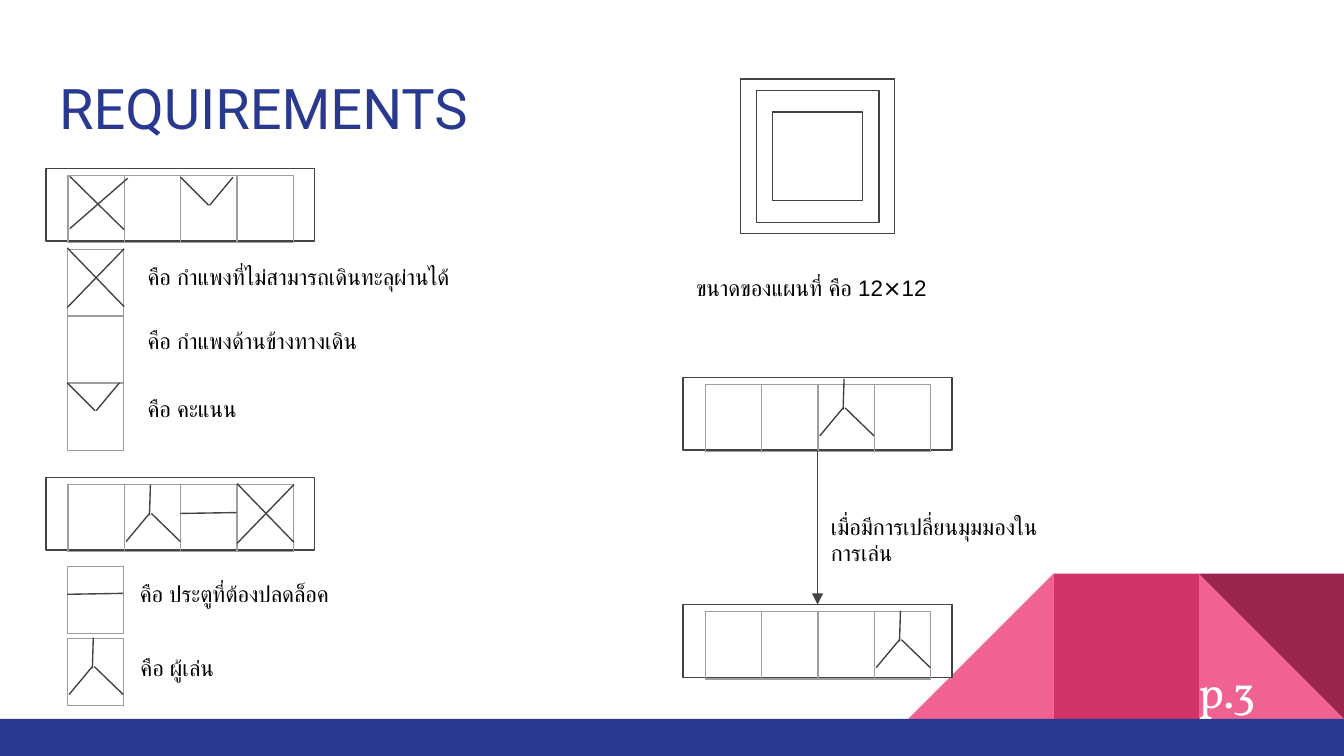
from lxml.etree import SubElement
from pptx import Presentation
from pptx.dml.color import RGBColor
from pptx.enum.shapes import MSO_CONNECTOR as Connector, MSO_SHAPE as Preset
from pptx.oxml.ns import qn
from pptx.util import Pt

COLORS = {
    "navy": "2A3990", "pink": "F06292", "rose": "D23369", "wine": "9C254D",
    "ink": "434343", "grid": "9E9E9E", "white": "FFFFFF", "black": "000000",
}
CELL_W = 30.2
STRIP_W, STRIP_H = 144, 39
STRIP_ROW, LEGEND_ROW = 19.4, 30.5
MARKS = {
    "wall": [(0, -0.5, 30.5, 31), (30.5, 0, 0, 31.5)],
    "inner wall": [(1, -0.5, 30, 28), (32, 0.5, 1, 27.5)],
    "score": [(0, 0, 15, 15), (28, 0, 15.5, 15)],
    "door": [(0, 15.5, 30, 15)],
    "player": [(14.5, 15.5, 30, 30.5), (13.5, 15.5, 1, 30.5), (13.5, 16.5, 14, 0)],
}


def rgb(name):
    """Return the named colour."""
    return RGBColor.from_string(COLORS[name])


def add_text(slide, text, x, y, w, h, size=12, font="Arial", color="black"):
    """Place a text box with one format."""
    frame = slide.shapes.add_textbox(Pt(x), Pt(y), Pt(w), Pt(h)).text_frame
    frame.word_wrap = True
    frame.margin_left = frame.margin_right = Pt(7.2)
    frame.margin_top = frame.margin_bottom = Pt(7.2)
    run = frame.paragraphs[0].add_run()
    run.text = text
    run.font.size = Pt(size)
    run.font.name = font
    run.font.color.rgb = rgb(color)
    SubElement(run.font._element, qn("a:cs"), typeface=font)


def add_block(slide, x, y, w, h, fill="white", outline="ink", preset=Preset.RECTANGLE, turn=0):
    """Place a filled preset shape, outlined when a line colour is given."""
    block = slide.shapes.add_shape(preset, Pt(x), Pt(y), Pt(w), Pt(h))
    block.shadow.inherit = False
    block.rotation = turn
    block.fill.solid()
    block.fill.fore_color.rgb = rgb(fill)
    if outline:
        block.line.color.rgb = rgb(outline)
        block.line.width = Pt(0.75)
    else:
        block.line.fill.background()
    return block


def add_stroke(slide, x1, y1, x2, y2):
    """Draw a thin straight line."""
    stroke = slide.shapes.add_connector(Connector.STRAIGHT, Pt(x1), Pt(y1), Pt(x2), Pt(y2))
    stroke.line.color.rgb = rgb("ink")
    stroke.line.width = Pt(0.75)
    SubElement(stroke.element.spPr, qn("a:effectLst"))
    return stroke


def add_mark(slide, kind, x, y):
    """Draw a map symbol from the top left of its cell."""
    for x1, y1, x2, y2 in MARKS[kind]:
        add_stroke(slide, x + x1, y + y1, x + x2, y + y2)


def add_cells(slide, x, y, count, height):
    """Place a row of empty bordered cells."""
    cells = slide.shapes.add_table(
        1, count, Pt(x), Pt(y), Pt(CELL_W * count), Pt(height)).table
    cells.first_row = cells.horz_banding = False
    for column in cells.columns:
        column.width = Pt(CELL_W)
    for cell in cells.iter_cells():
        cell.margin_left = cell.margin_right = Pt(7.2)
        cell.margin_top = cell.margin_bottom = Pt(7.2)
        properties = cell._tc.get_or_add_tcPr()
        for side in ("lnL", "lnR", "lnT", "lnB"):
            border = SubElement(properties, qn(f"a:{side}"), w=str(Pt(0.75)))
            paint = SubElement(border, qn("a:solidFill"))
            SubElement(paint, qn("a:srgbClr"), val=COLORS["grid"])
        cell.fill.background()


def add_strip(slide, x, y, marks, lift=0):
    """Place a framed four-cell view with marks keyed by cell number."""
    frame = add_block(slide, x, y, STRIP_W, STRIP_H)
    cells_x, cells_y = x + 11.8, y + 3.8
    add_cells(slide, cells_x, cells_y, 4, STRIP_ROW)
    for index, kind in marks.items():
        add_mark(slide, kind, cells_x + index * CELL_W, cells_y - lift)
    return frame


def add_legend(slide, x, y, kind, meaning, gap, drop, width):
    """Place one cell with its mark and its meaning beside it."""
    add_cells(slide, x, y, 1, LEGEND_ROW)
    if kind:
        add_mark(slide, kind, x, y - 0.4)
    add_text(slide, meaning, x + gap, y + drop, width, 30)


def add_map(slide, x, y):
    """Place the nested squares of the map and its size."""
    for dx, dy, w, h in [(0, 0, 82.6, 82.8), (8.6, 6, 65.5, 70.8), (17.2, 17.6, 48.2, 47.4)]:
        add_block(slide, x + dx, y + dy, w, h)
    add_text(slide, "ขนาดของแผนที่ คือ 12⨯12", x - 31, y + 97.4, 161.3, 30)


def add_view_change(slide, x, y):
    """Place the views before and after a turn, joined by an arrow."""
    before = add_strip(slide, x, y, {2: "player"}, lift=3)
    after = add_strip(slide, x, y + 121.7, {3: "player"}, lift=0.5)
    middle = x + STRIP_W / 2
    arrow = add_stroke(slide, middle, y + STRIP_H, middle, y + 121.7)
    arrow.begin_connect(before, 2)
    arrow.end_connect(after, 0)
    SubElement(arrow.line._get_or_add_ln(), qn("a:tailEnd"), type="triangle")
    add_text(slide, "เมื่อมีการเปลี่ยนมุมมองในการเล่น", middle, y + 65.3, 131, 39)


def add_backdrop(slide, x, y, side):
    """Place the corner triangles and the bottom band."""
    corner = [
        (2, "pink", Preset.RIGHT_TRIANGLE, 0),
        (0, "pink", Preset.RIGHT_TRIANGLE, 270),
        (1, "rose", Preset.RECTANGLE, 0),
        (2, "wine", Preset.RIGHT_TRIANGLE, 180),
    ]
    for column, fill, preset, turn in corner:
        add_block(slide, x + column * side, y, side, side, fill, None, preset, turn)
    add_block(slide, 0, y + side, 720, 20, "navy", None)


def build():
    """Build the requirements slide."""
    deck = Presentation()
    deck.slide_width, deck.slide_height = Pt(720), Pt(405)
    slide = deck.slides.add_slide(deck.slide_layouts[6])
    add_backdrop(slide, 486.6, 307.3, 77.8)
    add_text(slide, "REQUIREMENTS", 24.6, 32.4, 695.4, 47.5, size=30, font="Roboto", color="navy")
    add_map(slide, 396.8, 42.4)
    add_strip(slide, 24.6, 255.8, {1: "player", 2: "door", 3: "wall"})
    add_strip(slide, 24.6, 90.2, {0: "inner wall", 2: "score"}, lift=-1)
    for y, kind, meaning, gap, drop, width in [
        (133.7, "wall", "คือ กำแพงที่ไม่สามารถเดินทะลุผ่านได้", 36, 0, 212),
        (169, None, "คือ กำแพงด้านข้างทางเดิน", 36, -1.1, 148),
        (342, "player", "คือ ผู้เล่น", 32.2, 1.2, 58),
        (303.3, "door", "คือ ประตูที่ต้องปลดล็อค", 31.8, 0.3, 131),
    ]:
        add_legend(slide, 36, y, kind, meaning, gap, drop, width)
    add_view_change(slide, 366, 202.2)
    add_text(slide, "p.3", 635, 348.5, 58, 40, size=24, font="Vollkorn", color="white")
    add_legend(slide, 36, 205.5, "score", "คือ คะแนน", 36, -0.9, 148)
    deck.save("out.pptx")


if __name__ == "__main__":
    build()
